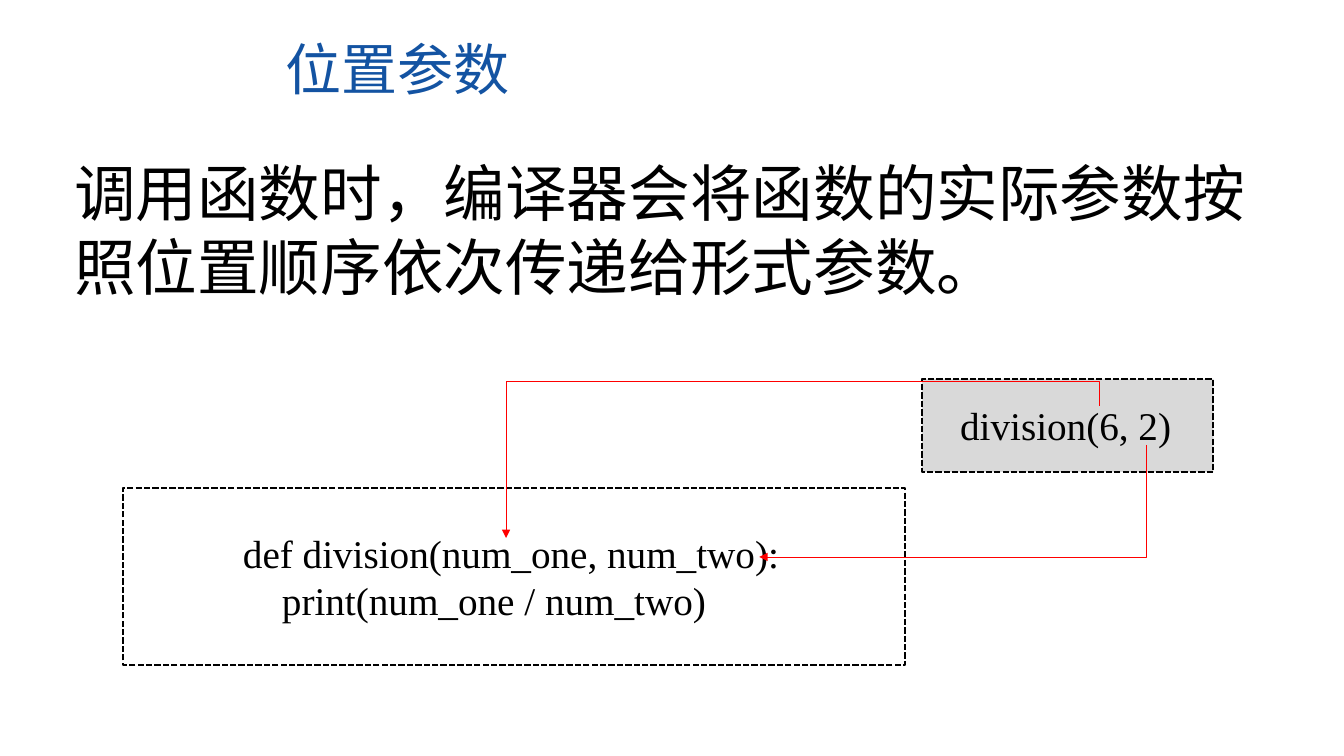
from lxml import etree
from pptx import Presentation
from pptx.dml.color import RGBColor
from pptx.enum.dml import MSO_LINE
from pptx.enum.shapes import MSO_CONNECTOR, MSO_SHAPE
from pptx.enum.text import MSO_ANCHOR, MSO_AUTO_SIZE, PP_ALIGN
from pptx.oxml.ns import qn
from pptx.util import Emu, Inches, Pt

ELBOW = MSO_CONNECTOR.ELBOW
RECTANGLE = MSO_SHAPE.RECTANGLE
DASH = MSO_LINE.SQUARE_DOT
TOP, MIDDLE = MSO_ANCHOR.TOP, MSO_ANCHOR.MIDDLE
LEFT = PP_ALIGN.LEFT
NO_FIT = MSO_AUTO_SIZE.NONE

EMU_PER_PX = 914400 / 100.8
COLORS = {"title": "1353A2", "ink": "000000", "call": "D9D9D9", "arrow": "FF0000"}
CJK, SERIF = "Noto Sans CJK SC", "Times New Roman"


def px(length):
    return Emu(round(length * EMU_PER_PX))


def rgb(name):
    return RGBColor.from_string(COLORS[name])


def place(shape, box):
    shape.left, shape.top, shape.width, shape.height = map(px, box)


def write(shape, *lines, font, size, color="ink", anchor=TOP, inset_top=5, indents=()):
    """Fill a shape with one paragraph per line, each with its own indent."""
    frame = shape.text_frame
    frame.text = "\n".join(lines)
    frame.word_wrap = True
    frame.auto_size = NO_FIT
    frame.vertical_anchor = anchor
    frame.margin_top = px(inset_top)
    for index, paragraph in enumerate(frame.paragraphs):
        paragraph.alignment = LEFT
        paragraph.line_spacing = 1.0
        paragraph.space_before = Pt(0)
        props = paragraph._p.get_or_add_pPr()
        props.set("marL", str(px(indents[index] if indents else 0)))
        props.set("indent", "0")
        etree.SubElement(props, qn("a:buNone"))
        for run in paragraph.runs:
            run.font.name = font
            run.font.size = Pt(size)
            run.font.bold = False
            run.font.color.rgb = rgb(color)
            east_asian = etree.SubElement(run._r.get_or_add_rPr(), qn("a:ea"))
            east_asian.set("typeface", font)


def add_frame(slide, box, fill=None):
    """Draw a dashed rectangle."""
    frame = slide.shapes.add_shape(RECTANGLE, *map(px, box))
    frame.shadow.inherit = False
    if fill:
        frame.fill.solid()
        frame.fill.fore_color.rgb = rgb(fill)
    else:
        frame.fill.background()
    frame.line.color.rgb = rgb("ink")
    frame.line.width = Pt(1.5)
    frame.line.dash_style = DASH


def add_code(slide, box, *lines, **text_format):
    code = slide.shapes.add_textbox(*map(px, box))
    write(code, *lines, font=SERIF, size=28, **text_format)


def add_arrow(slide, start, end, turn, preset, bend=None):
    """Draw an elbow arrow whose preset is turned by 90 or 270 degrees."""
    center_x, center_y = (start[0] + end[0]) / 2, (start[1] + end[1]) / 2
    sign = 1 if turn == 90 else -1
    ends = [(center_x + sign * (y - center_y), center_y - sign * (x - center_x))
            for x, y in (start, end)]
    arrow = slide.shapes.add_connector(ELBOW, *(px(v) for point in ends for v in point))
    arrow.line.color.rgb = rgb("arrow")
    arrow.line.width = Pt(0.5)
    head = etree.SubElement(arrow.line._get_or_add_ln(), qn("a:tailEnd"))
    head.set("type", "triangle")
    props = arrow._element.spPr
    etree.SubElement(props, qn("a:effectLst"))
    props.find(qn("a:xfrm")).set("rot", str(turn * 60000))
    geometry = props.find(qn("a:prstGeom"))
    geometry.set("prst", preset)
    if bend is not None:
        guide = etree.SubElement(geometry.find(qn("a:avLst")), qn("a:gd"))
        guide.set("name", "adj1")
        guide.set("fmla", f"val {round(bend * 100000)}")


def main():
    deck = Presentation()
    deck.slide_width, deck.slide_height = Inches(13.33), Inches(7.5)
    slide = deck.slides.add_slide(deck.slide_layouts[1])

    # Title and explanation
    title, explanation = slide.placeholders
    place(title, (275, 29, 593, 78))
    write(title, "位置参数", font=CJK, size=40, color="title", anchor=MIDDLE)
    place(explanation, (64, 145, 1239, 190))
    write(explanation, "调用函数时，编译器会将函数的实际参数按照位置顺序依次传递给形式参数。",
          font=CJK, size=44, inset_top=10)

    # Function definition
    add_frame(slide, (123, 488, 782, 177))
    add_code(slide, (233, 524, 562, 105),
             "def division(num_one, num_two):", "print(num_one / num_two)",
             indents=(0, 39))

    # Function call
    add_frame(slide, (922, 379, 291, 93), fill="call")
    add_code(slide, (950, 396, 236, 57), "division(6, 2)")

    # Arguments passed to parameters
    add_arrow(slide, (1099, 406), (506, 538), 270, "bentConnector3", bend=-0.19)
    add_arrow(slide, (1146, 445), (759, 557), 90, "bentConnector2")

    deck.save("out.pptx")


if __name__ == "__main__":
    main()
